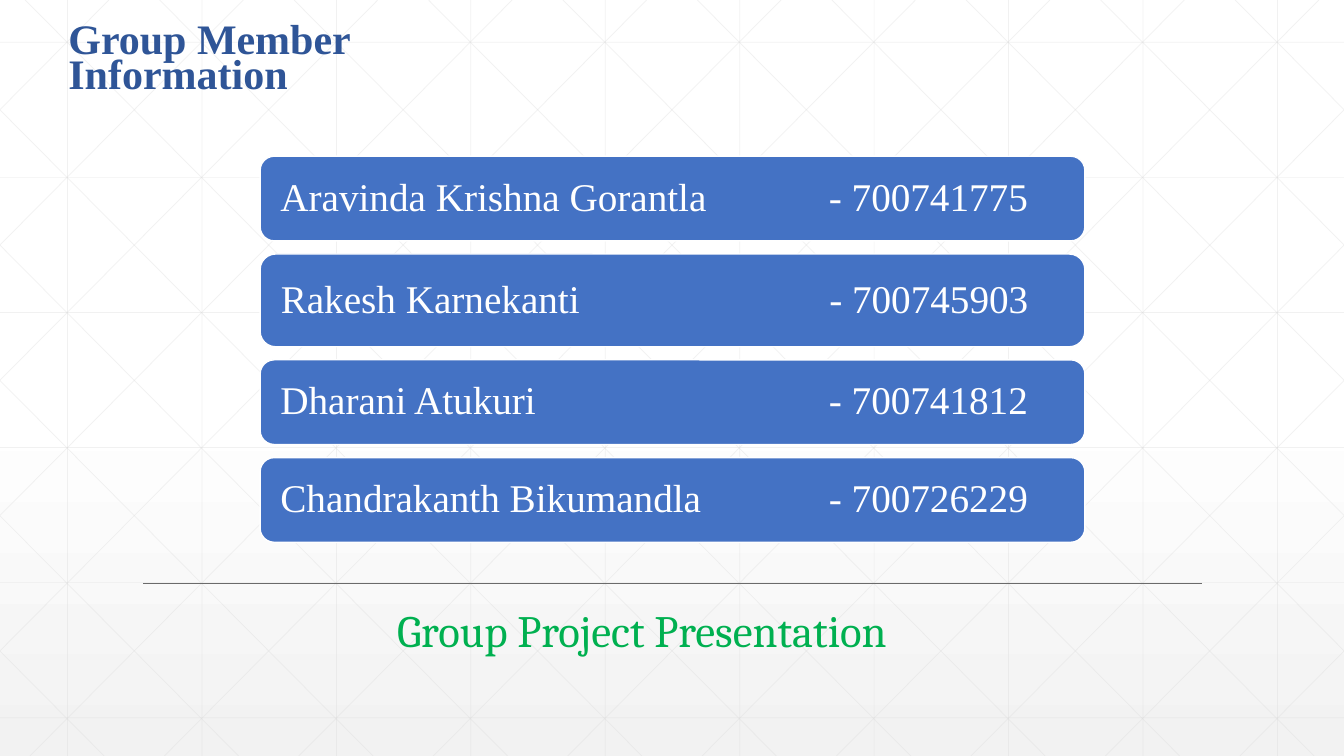
from lxml.etree import SubElement
from pptx import Presentation
from pptx.dml.color import RGBColor
from pptx.enum.shapes import MSO_CONNECTOR, MSO_SHAPE
from pptx.enum.text import MSO_ANCHOR, PP_ALIGN
from pptx.oxml.ns import qn
from pptx.util import Inches, Pt

WHITE = RGBColor(0xFF, 0xFF, 0xFF)
PALE_GREY = RGBColor(0xF2, 0xF2, 0xF2)
GRID_GREY = RGBColor(0xD9, 0xD9, 0xD9)
RULE_GREY = RGBColor(0x6B, 0x6B, 0x6B)
BLUE = RGBColor(0x44, 0x72, 0xC4)
NAVY = RGBColor(0x2F, 0x55, 0x97)
GREEN = RGBColor(0x00, 0xB0, 0x50)

WIDTH, HEIGHT = 13.33, 7.5

deck = Presentation()
deck.slide_width, deck.slide_height = Inches(WIDTH), Inches(HEIGHT)
page = deck.slides.add_slide(deck.slide_layouts[6])


def add_line(start, end, color, weight, opacity=100):
    """Draw a straight line between two points given in inches."""
    line = page.shapes.add_connector(
        MSO_CONNECTOR.STRAIGHT, *(Inches(value) for value in start + end))
    line.line.color.rgb = color
    line.line.width = Pt(weight)
    properties = line._element.spPr
    if opacity < 100:
        tint = properties.find(".//" + qn("a:srgbClr"))
        SubElement(tint, qn("a:alpha"), val=str(opacity * 1000))
    SubElement(properties, qn("a:effectLst"))


def write_text(box, text, color, font, frame, spacing=1.0):
    """Fill a box with one left-aligned paragraph and return the paragraph."""
    for name, value in frame.items():
        setattr(box.text_frame, name, value)
    para = box.text_frame.paragraphs[0]
    para.alignment = PP_ALIGN.LEFT
    para.line_spacing = spacing
    span = para.add_run()
    span.text = text
    span.font.color.rgb = color
    for name, value in font.items():
        setattr(span.font, name, value)
    return para


# Background fading to pale grey at the bottom
backdrop = page.background.fill
backdrop.gradient()
backdrop.gradient_angle = 270
for stop, (position, color) in zip(backdrop.gradient_stops,
                                   [(0.53, WHITE), (1, PALE_GREY)]):
    stop.position = position
    stop.color.rgb = color

# Faint grid: verticals, horizontals, then diagonals clipped to the page
STEP = 4 / 3
DIAGONAL_RUN = 7.45
grid = [((0.67 + STEP * i, 0), (0.67 + STEP * i, HEIGHT)) for i in range(10)]
grid += [((0, 0.42 + 1.34 * i), (WIDTH, 0.42 + 1.34 * i)) for i in range(6)]
for i in range(-5, 10):
    origin = 0.25 + STEP * i
    left, right = max(origin, 0), min(origin + DIAGONAL_RUN, WIDTH)
    top, bottom = ((x - origin) * HEIGHT / DIAGONAL_RUN for x in (left, right))
    grid.append(((left, top), (right, bottom)))
    grid.append(((WIDTH - left, top), (WIDTH - right, bottom)))
for start, end in grid:
    add_line(start, end, GRID_GREY, 0.5, opacity=35)

add_line((1.42, 5.79), (11.92, 5.79), RULE_GREY, 0.75)

# Member cards, with the numbers aligned at one tab stop
members = [
    ("Aravinda Krishna Gorantla", "700741775", 0.84),
    ("Rakesh Karnekanti", "700745903", 0.92),
    ("Dharani Atukuri", "700741812", 0.84),
    ("Chandrakanth Bikumandla", "700726229", 0.84),
]
card_frame = {"word_wrap": True, "vertical_anchor": MSO_ANCHOR.MIDDLE,
              "margin_left": Inches(0.16), "margin_right": Inches(0.16)}
card_font = {"name": "Times New Roman", "size": Pt(28)}
card_top = 1.55
for member, number, card_height in members:
    card = page.shapes.add_shape(
        MSO_SHAPE.ROUNDED_RECTANGLE, Inches(2.58), Inches(card_top),
        Inches(8.18), Inches(card_height))
    card.shadow.inherit = False
    card.fill.solid()
    card.fill.fore_color.rgb = BLUE
    card.line.color.rgb = WHITE
    card.line.width = Pt(1)
    para = write_text(card, f"{member}\t- {number}", WHITE, card_font,
                      card_frame, 0.9)
    tabs = SubElement(para._p.get_or_add_pPr(), qn("a:tabLst"))
    SubElement(tabs, qn("a:tab"), pos=str(Inches(5.44)), algn="l")
    card_top += card_height + 0.13

title = page.shapes.add_textbox(Inches(0.58), Inches(0.35), Inches(5.21), Inches(0.66))
write_text(title, "Group Member Information", NAVY,
           {"name": "Times New Roman", "size": Pt(30), "bold": True},
           {"word_wrap": True, "vertical_anchor": MSO_ANCHOR.BOTTOM}, 0.7)

caption = page.shapes.add_textbox(Inches(3.84), Inches(5.93), Inches(5.66), Inches(0.64))
write_text(caption, "Group Project Presentation", GREEN,
           {"name": "Cambria", "size": Pt(32)}, {"word_wrap": True})

deck.save("out.pptx")
